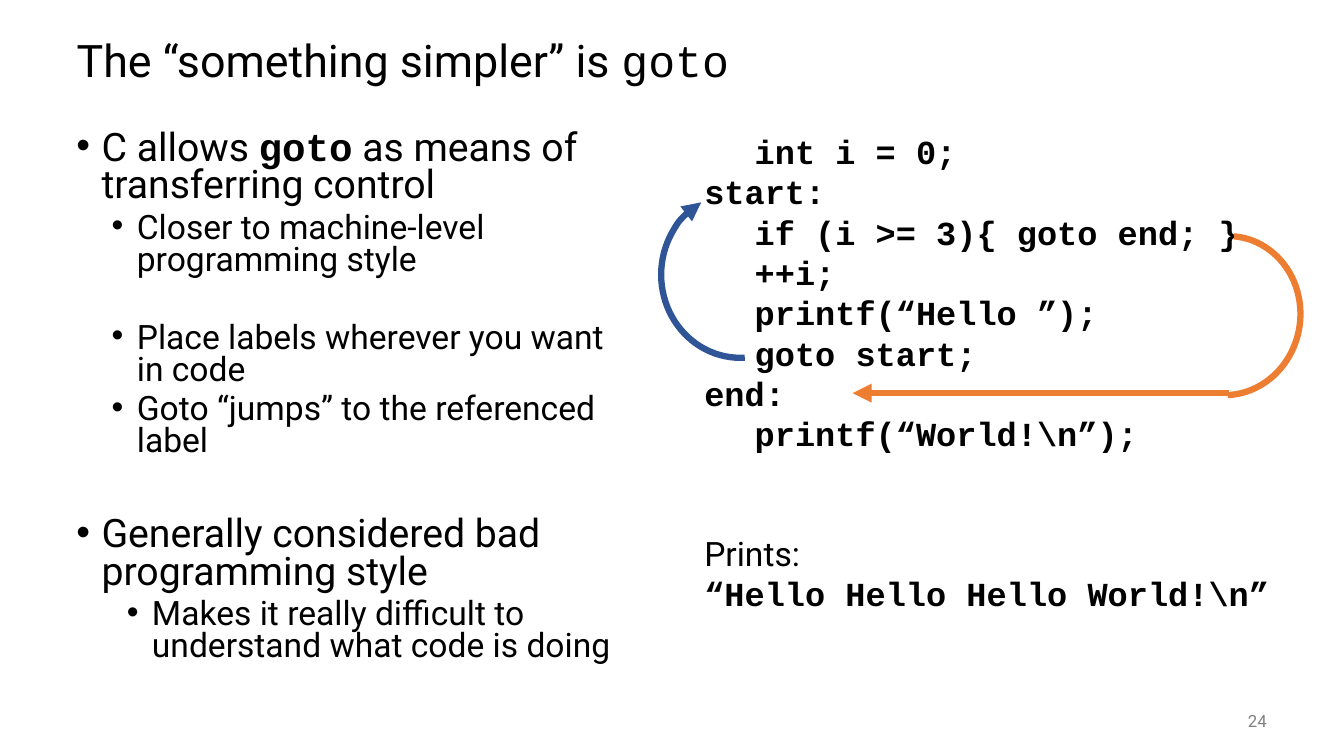
from pptx import Presentation
from pptx.dml.color import RGBColor
from pptx.enum.shapes import MSO_CONNECTOR, MSO_SHAPE
from pptx.enum.text import MSO_ANCHOR, PP_ALIGN
from pptx.oxml.ns import qn
from pptx.util import Pt
from lxml import etree

STRAIGHT = MSO_CONNECTOR.STRAIGHT
ARC = MSO_SHAPE.ARC
MIDDLE = MSO_ANCHOR.MIDDLE
LEFT, RIGHT = PP_ALIGN.LEFT, PP_ALIGN.RIGHT
COLORS = {"text": "000000", "number": "808080", "back": "2F5597", "forward": "ED7D31"}
SANS, MONO = "Roboto", "Courier New"


def add_span(para, text, size, font=SANS, bold=False, color="text"):
    span = para.add_run()
    span.text = text
    span.font.size = Pt(size)
    span.font.name = font
    span.font.bold = bold
    span.font.color.rgb = RGBColor.from_string(COLORS[color])


def style_line(shape, color, arrow):
    shape.line.color.rgb = RGBColor.from_string(COLORS[color])
    shape.line.width = Pt(4.5)
    if arrow:
        etree.SubElement(shape.line._get_or_add_ln(), qn("a:tailEnd"), type="triangle")


deck = Presentation()
deck.slide_width, deck.slide_height = Pt(960), Pt(540)
page = deck.slides.add_slide(deck.slide_layouts[5])

# Title
title = page.shapes.title
title.left, title.top, title.width, title.height = Pt(47.5), Pt(18), Pt(864), Pt(54)
title.text_frame.vertical_anchor = MIDDLE
title.text_frame.word_wrap = True
para = title.text_frame.paragraphs[0]
para.alignment = LEFT
para.line_spacing = 0.9
add_span(para, "The “something simpler” is ", 32)
add_span(para, "goto", 32, MONO)

# Bullet list: left margin, space before, size, spans
bullets = [
    (18, 0, 28, [("C allows ", SANS), ("goto", MONO), (" as means of", SANS),
                 None, ("transferring control", SANS)]),
    (43.2, 5, 24, [("Closer to machine-level programming style", SANS)]),
    (43.2, 32.5, 24, [("Place labels wherever you want in code", SANS)]),
    (43.2, 5, 24, [("Goto “jumps” to the referenced label", SANS)]),
    (18, 41.5, 28, [("Generally considered bad programming style", SANS)]),
    (54, 5, 24, [("Makes it really difficult to understand what code is doing", SANS)]),
]
box = page.shapes.add_textbox(Pt(47.5), Pt(90), Pt(415.5), Pt(396))
box.text_frame.word_wrap = True
for index, (margin, before, size, spans) in enumerate(bullets):
    para = box.text_frame.paragraphs[0] if index == 0 else box.text_frame.add_paragraph()
    para.level = 0 if margin == 18 else 1
    para.line_spacing = 0.8
    para.space_before = Pt(before)
    props = para._p.get_or_add_pPr()
    props.set("marL", str(Pt(margin)))
    props.set("indent", str(-Pt(18)))
    etree.SubElement(props, qn("a:buFont"), typeface="Arial")
    etree.SubElement(props, qn("a:buChar"), char="•")
    for span in spans:
        if span is None:
            para.add_line_break()
        else:
            add_span(para, span[0], size, span[1], span[1] == MONO)

# Code and its output: indent, space before, font, text
code = [
    (36, 0, MONO, "int i = 0;"),
    (0, 0, MONO, "start:"),
    (36, 0, MONO, "if (i >= 3){ goto end; }"),
    (36, 0, MONO, "++i;"),
    (36, 0, MONO, "printf(“Hello ”);"),
    (36, 0, MONO, "goto start;"),
    (0, 0, MONO, "end:"),
    (36, 0, MONO, "printf(“World!\\n”);"),
    (0, 56.5, SANS, "Prints:"),
    (0, 0, MONO, "“Hello Hello Hello World!\\n”"),
]
box = page.shapes.add_textbox(Pt(496), Pt(90), Pt(430), Pt(356.5))
box.text_frame.word_wrap = True
for index, (margin, before, font, text) in enumerate(code):
    para = box.text_frame.paragraphs[0] if index == 0 else box.text_frame.add_paragraph()
    para.level = 1 if margin else 0
    para.space_before = Pt(before)
    props = para._p.get_or_add_pPr()
    props.set("marL", str(Pt(margin)))
    props.set("indent", "0")
    add_span(para, text, 24, font, font == MONO)

# Jump arrows: left, top, width, height, rotation, end angle, color, arrowhead
arcs = [
    (472.3, 136.8, 113, 118.8, 0, 144.98, "back", True),
    (823, 168.5, 105.8, 113.8, 188.7, 156.13, "forward", False),
]
for left, top, width, height, rotation, end, color, arrow in arcs:
    arc = page.shapes.add_shape(ARC, Pt(left), Pt(top), Pt(width), Pt(height))
    arc.adjustments[0], arc.adjustments[1] = 52.13, end
    arc.rotation = rotation
    arc.shadow.inherit = False
    arc.fill.background()
    style_line(arc, color, arrow)

jump = page.shapes.add_connector(STRAIGHT, Pt(877.7), Pt(280.8), Pt(609), Pt(280.8))
style_line(jump, "forward", True)
etree.SubElement(jump._element.spPr, qn("a:effectLst"))

# Slide number
box = page.shapes.add_textbox(Pt(840), Pt(500.4), Pt(72), Pt(28.8))
box.text_frame.vertical_anchor = MIDDLE
box.text_frame.word_wrap = True
para = box.text_frame.paragraphs[0]
para.alignment = RIGHT
add_span(para, "24", 12, color="number")

deck.save("out.pptx")
